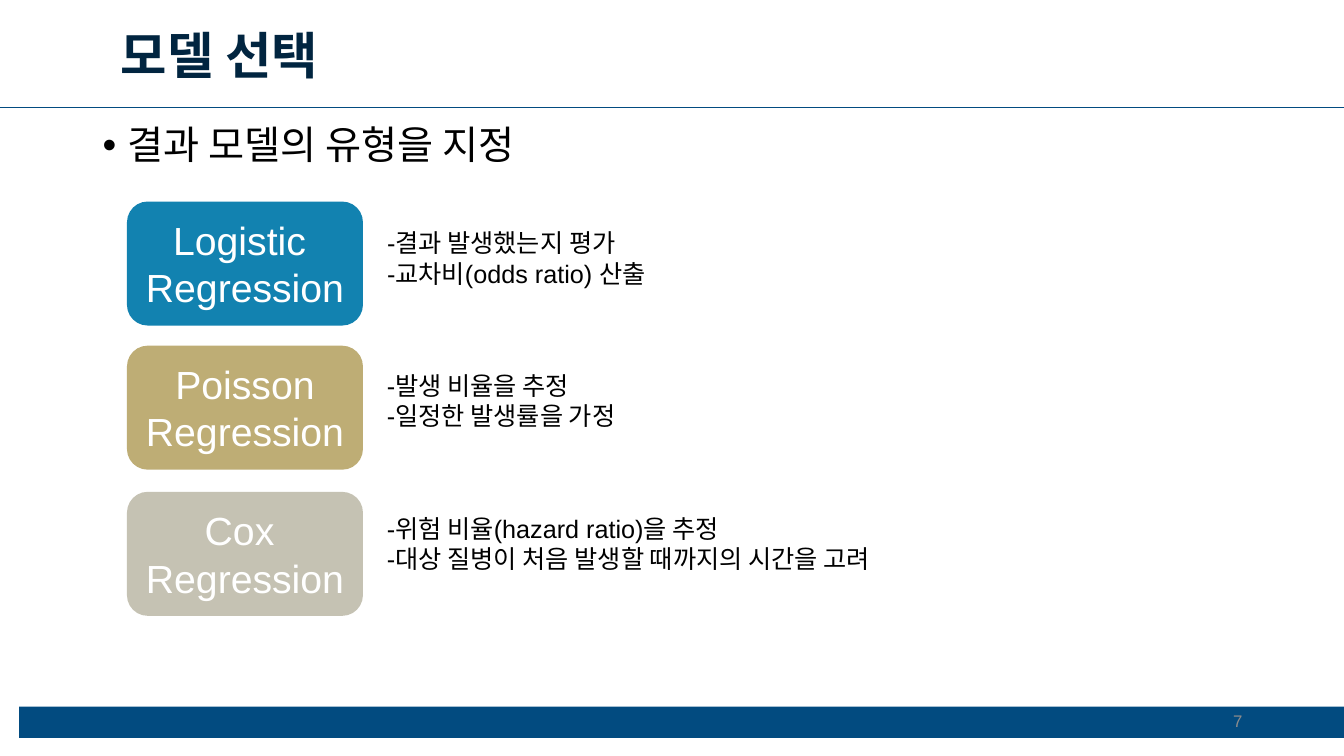
from lxml import etree
from pptx import Presentation
from pptx.dml.color import RGBColor
from pptx.enum.shapes import MSO_CONNECTOR, MSO_SHAPE
from pptx.enum.text import MSO_ANCHOR, PP_ALIGN
from pptx.oxml.ns import qn
from pptx.util import Inches, Pt

LEFT, CENTER, RIGHT = PP_ALIGN.LEFT, PP_ALIGN.CENTER, PP_ALIGN.RIGHT
TOP, MIDDLE = MSO_ANCHOR.TOP, MSO_ANCHOR.MIDDLE
RECT, ROUNDED = MSO_SHAPE.RECTANGLE, MSO_SHAPE.FLOWCHART_ALTERNATE_PROCESS
STRAIGHT = MSO_CONNECTOR.STRAIGHT

COLORS = {
    "navy": "012540",
    "blue": "024B80",
    "logistic": "1282B0",
    "poisson": "BEAD75",
    "cox": "C5C2B3",
    "black": "000000",
    "white": "FFFFFF",
    "gray": "8C8C8C",
}

# label lines, colour, box top, note top, note width, note lines
MODELS = [
    (["Logistic ", "Regression"], "logistic", 2, 2.21, 2.89,
     ["-결과 발생했는지 평가", "-교차비(odds ratio) 산출"]),
    (["Poisson", "Regression"], "poisson", 3.43, 3.62, 2.7,
     ["-발생 비율을 추정", "-일정한 발생률을 가정"]),
    (["Cox ", "Regression"], "cox", 4.88, 5.04, 5.5,
     ["-위험 비율(hazard ratio)을 추정",
      "-대상 질병이 처음 발생할 때까지의 시간을 고려"]),
]


class SlideBuilder:
    latin_font = "Arial"
    korean_font = "Noto Sans CJK KR"

    def __init__(self, slide):
        self.slide = slide

    def color(self, name):
        return RGBColor.from_string(COLORS[name])

    def set_text(self, sp, lines, size, color, align=LEFT, anchor=TOP,
                 font=latin_font, bold=False):
        tf = sp.text_frame
        tf.word_wrap = True
        tf.vertical_anchor = anchor
        tf.text = "\n".join(lines)
        for p in tf.paragraphs:
            p.alignment = align
            for r in p.runs:
                r.font.size = Pt(size)
                r.font.bold = bold
                r.font.name = font
                r.font.color.rgb = self.color(color)
                ea = etree.SubElement(r.font._element, qn("a:ea"))
                ea.set("typeface", self.korean_font)

    def text(self, box, lines, size, color, **style):
        sp = self.slide.shapes.add_textbox(*map(Inches, box))
        self.set_text(sp, lines, size, color, **style)
        return sp

    def bullet(self, box, line, size):
        sp = self.text(box, [line], size, "black")
        p = sp.text_frame.paragraphs[0]
        p.line_spacing = 0.9
        p.space_before = Pt(10)
        pPr = p._p.get_or_add_pPr()
        pPr.set("marL", str(Inches(0.25)))
        pPr.set("indent", str(Inches(-0.25)))
        etree.SubElement(pPr, qn("a:buFont")).set("typeface", self.latin_font)
        etree.SubElement(pPr, qn("a:buChar")).set("char", "•")

    def shape(self, kind, box, fill):
        sp = self.slide.shapes.add_shape(kind, *map(Inches, box))
        sp.shadow.inherit = False
        sp.fill.solid()
        sp.fill.fore_color.rgb = self.color(fill)
        sp.line.fill.background()
        return sp

    def line(self, start, end, color, width):
        cn = self.slide.shapes.add_connector(STRAIGHT, *map(Inches, start + end))
        cn.line.color.rgb = self.color(color)
        cn.line.width = Pt(width)
        etree.SubElement(cn._element.spPr, qn("a:effectLst"))


def main():
    prs = Presentation()
    prs.slide_width, prs.slide_height = Inches(13.33), Inches(7.5)
    s = SlideBuilder(prs.slides.add_slide(prs.slide_layouts[6]))

    s.shape(RECT, (0.19, 7.01, 13.14, 0.31), "blue")
    s.line((0, 1.07), (13.33, 1.07), "blue", 0.5)
    s.text((1.1, 0.19, 8.18, 0.71), ["모델 선택"], 36, "navy",
           font=s.korean_font, bold=True)
    s.bullet((0.92, 1.2, 11.96, 0.6), "결과 모델의 유형을 지정", 28)

    for label, fill, top, note_top, note_width, notes in MODELS:
        sp = s.shape(ROUNDED, (1.26, top, 2.34, 1.23), fill)
        s.set_text(sp, label, 28, "white", align=CENTER, anchor=MIDDLE)
        s.text((3.74, note_top, note_width, 0.71), notes, 18, "black")

    s.text((9.42, 6.95, 3, 0.4), ["7"], 12, "gray", align=RIGHT, anchor=MIDDLE)
    prs.save("out.pptx")


if __name__ == "__main__":
    main()
